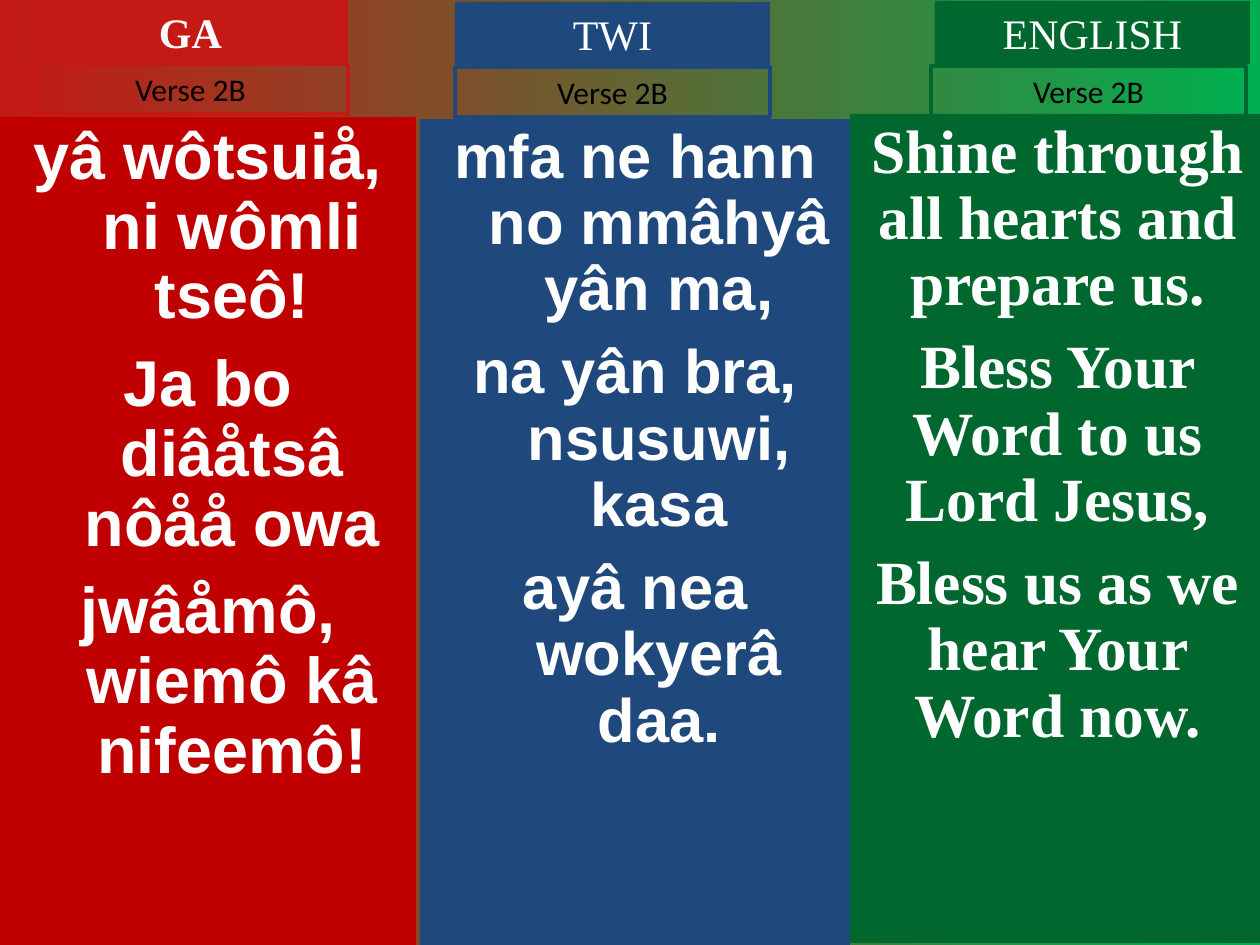
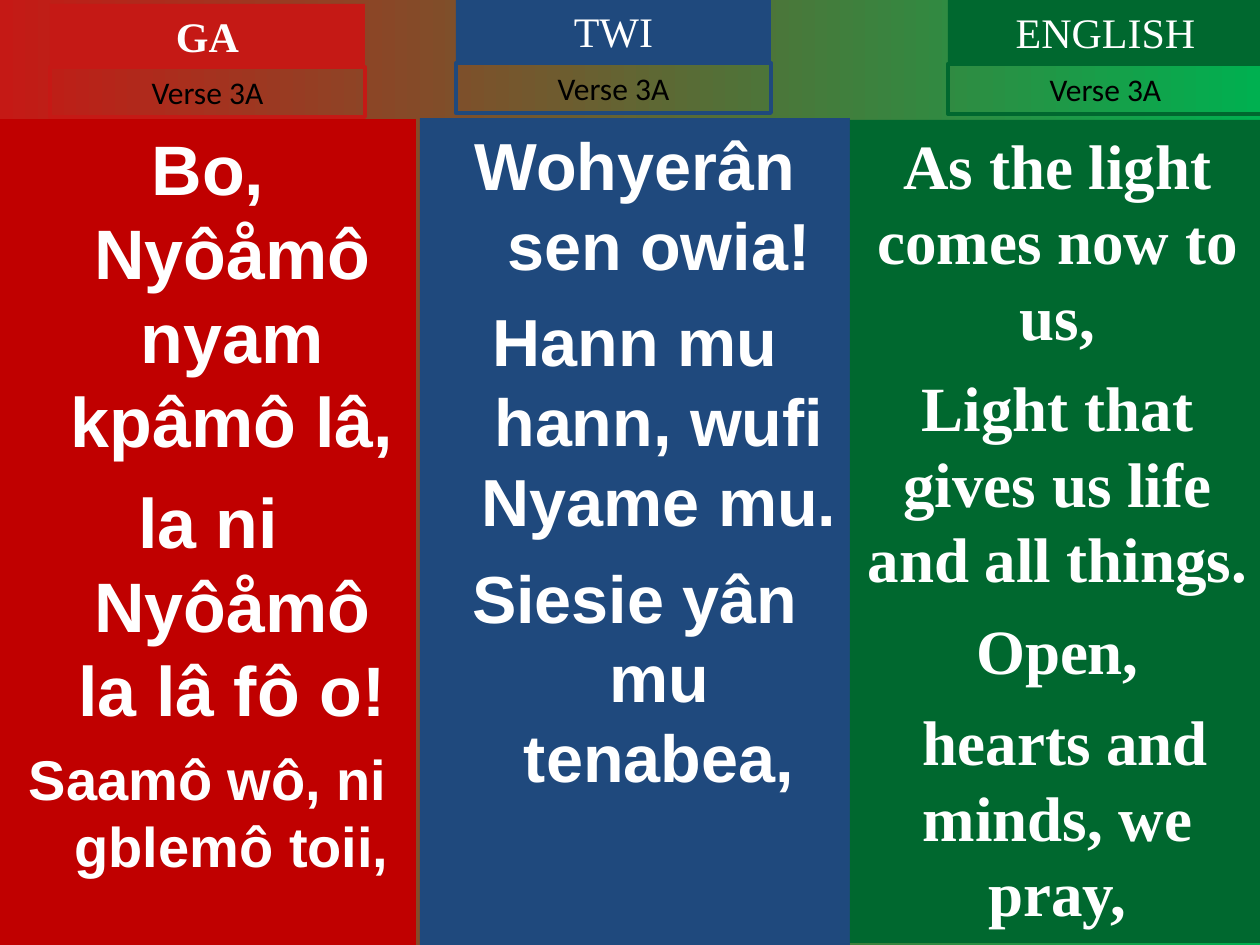
from pptx import Presentation
from pptx.dml.color import RGBColor
from pptx.enum.text import MSO_AUTO_SIZE, PP_ALIGN
from pptx.util import Pt

CENTER = PP_ALIGN.CENTER
GROW = MSO_AUTO_SIZE.SHAPE_TO_FIT_TEXT
FIXED = MSO_AUTO_SIZE.NONE

PX = 914400 / 126
PAGE_WIDTH, PAGE_HEIGHT = 1260, 945

BRIGHT_RED = RGBColor(0xC5, 0x19, 0x15)
RED = RGBColor(0xC0, 0x00, 0x00)
BLUE = RGBColor(0x1F, 0x49, 0x7D)
GREEN = RGBColor(0x00, 0x68, 0x2F)
BRIGHT_GREEN = RGBColor(0x00, 0xB0, 0x50)
WHITE = RGBColor(0xFF, 0xFF, 0xFF)
BLACK = RGBColor(0x00, 0x00, 0x00)

# Shared look of each language column
TAB_WIDTH, TAB_HEIGHT, VERSE_HEIGHT = 315, 63, 50
HANGING = 48
LANGUAGES = {
    "GA": dict(left=0, width=416, fill=RED, accent=BRIGHT_RED,
               font="Arial", hanging=HANGING, bold_tab=True),
    "TWI": dict(left=420, width=430, fill=BLUE, accent=BLUE,
                font="Arial", hanging=HANGING, bold_tab=False),
    "ENGLISH": dict(left=850, width=415, fill=GREEN, accent=GREEN,
                    font="Times New Roman", hanging=0, bold_tab=False),
}

# Content: tab and verse are (left, top); column is (top, bottom);
# each lyric line is (text, size, space before)
SLIDES = [
    dict(verse="Verse 2B", line_spacing=0.9, columns={
        "GA": dict(tab=(33, 0), verse=(33, 64), column=(117, 945), lyrics=[
            ("yâ wôtsuiå, ni wômli tseô!", 37, 0),
            ("Ja bo diâåtsâ nôåå owa", 37, 10),
            ("jwâåmô, wiemô kâ nifeemô!", 37, 10)]),
        "TWI": dict(tab=(455, 2), verse=(455, 67), column=(119, 945), lyrics=[
            ("mfa ne hann no mmâhyâ yân ma,", 35.1, 0),
            ("na yân bra, nsusuwi, kasa", 35.1, 9.5),
            ("ayâ nea wokyerâ daa.", 35.1, 9.5)]),
        "ENGLISH": dict(tab=(935, 1), verse=(931, 66), column=(114, 943), lyrics=[
            ("Shine through all hearts and prepare us.", 35.1, 0),
            ("Bless Your Word to us Lord Jesus,", 35.1, 9.5),
            ("Bless us as we hear Your Word now.", 35.1, 9.5)]),
    }),
    dict(verse="Verse 3A", line_spacing=None, columns={
        "GA": dict(tab=(50, 4), verse=(50, 67), column=(119, 945), lyrics=[
            ("Bo, Nyôåmô nyam kpâmô lâ,", 40, 0),
            ("la ni Nyôåmô la lâ fô o!", 40, 10),
            ("Saamô wô, ni gblemô toii,", 32, 8)]),
        "TWI": dict(tab=(456, -1), verse=(456, 63), column=(118, 945), lyrics=[
            ("Wohyerân sen owia!", 38, 0),
            ("Hann mu hann, wufi Nyame mu.", 38, 9.5),
            ("Siesie yân mu tenabea,", 38, 9.5)]),
        "ENGLISH": dict(tab=(948, 0), verse=(948, 64), column=(120, 943), lyrics=[
            ("As the light comes now to us,", 36, 0),
            ("Light that gives us life and all things.", 36, 9),
            ("Open,", 36, 9),
            (" hearts and minds, we pray,", 36, 9)]),
    }),
]


def px(length):
    return round(length * PX)


def add_box(page, left, top, width, height, fill=None, line=None, auto_size=GROW):
    box = page.shapes.add_textbox(px(left), px(top), px(width), px(height))
    if fill is not None:
        box.fill.solid()
        box.fill.fore_color.rgb = fill
    if line is not None:
        box.line.color.rgb = line
        box.line.width = Pt(2.25)
    box.text_frame.word_wrap = True
    box.text_frame.auto_size = auto_size
    return box


def write(para, text, font, size, color=WHITE, bold=False,
          before=0, line_spacing=None, hanging=0):
    para.alignment = CENTER
    para.space_before = Pt(before)
    para.line_spacing = line_spacing
    if hanging:
        properties = para._p.get_or_add_pPr()
        properties.set("marL", str(px(hanging)))
        properties.set("indent", str(-px(hanging)))
    span = para.add_run()
    span.text = text
    span.font.name = font
    span.font.size = Pt(size)
    span.font.bold = bold
    span.font.color.rgb = color


def paint_background(page):
    fill = page.background.fill
    fill.gradient()
    fill.gradient_angle = 0
    for stop, color in zip(fill.gradient_stops, (BRIGHT_RED, BRIGHT_GREEN)):
        stop.color.rgb = color


def add_language(page, name, part, verse, line_spacing):
    style = LANGUAGES[name]

    # Lyrics column
    top, bottom = part["column"]
    column = add_box(page, style["left"], top, style["width"], bottom - top,
                     fill=style["fill"], auto_size=FIXED)
    frame = column.text_frame
    for index, (text, size, before) in enumerate(part["lyrics"]):
        para = frame.add_paragraph() if index else frame.paragraphs[0]
        write(para, text, style["font"], size, bold=True, before=before,
              line_spacing=line_spacing, hanging=style["hanging"])

    # Language tab and verse label
    tab = add_box(page, *part["tab"], TAB_WIDTH, TAB_HEIGHT, fill=style["accent"])
    write(tab.text_frame.paragraphs[0], name, "Times New Roman", 24,
          bold=style["bold_tab"])
    label = add_box(page, *part["verse"], TAB_WIDTH, VERSE_HEIGHT,
                    line=style["accent"])
    write(label.text_frame.paragraphs[0], verse, "Calibri", 18, color=BLACK)


def main():
    deck = Presentation()
    deck.slide_width, deck.slide_height = px(PAGE_WIDTH), px(PAGE_HEIGHT)
    blank = deck.slide_layouts[6]
    for content in SLIDES:
        page = deck.slides.add_slide(blank)
        paint_background(page)
        for name, part in content["columns"].items():
            add_language(page, name, part, content["verse"], content["line_spacing"])
    deck.save("out.pptx")


if __name__ == "__main__":
    main()
